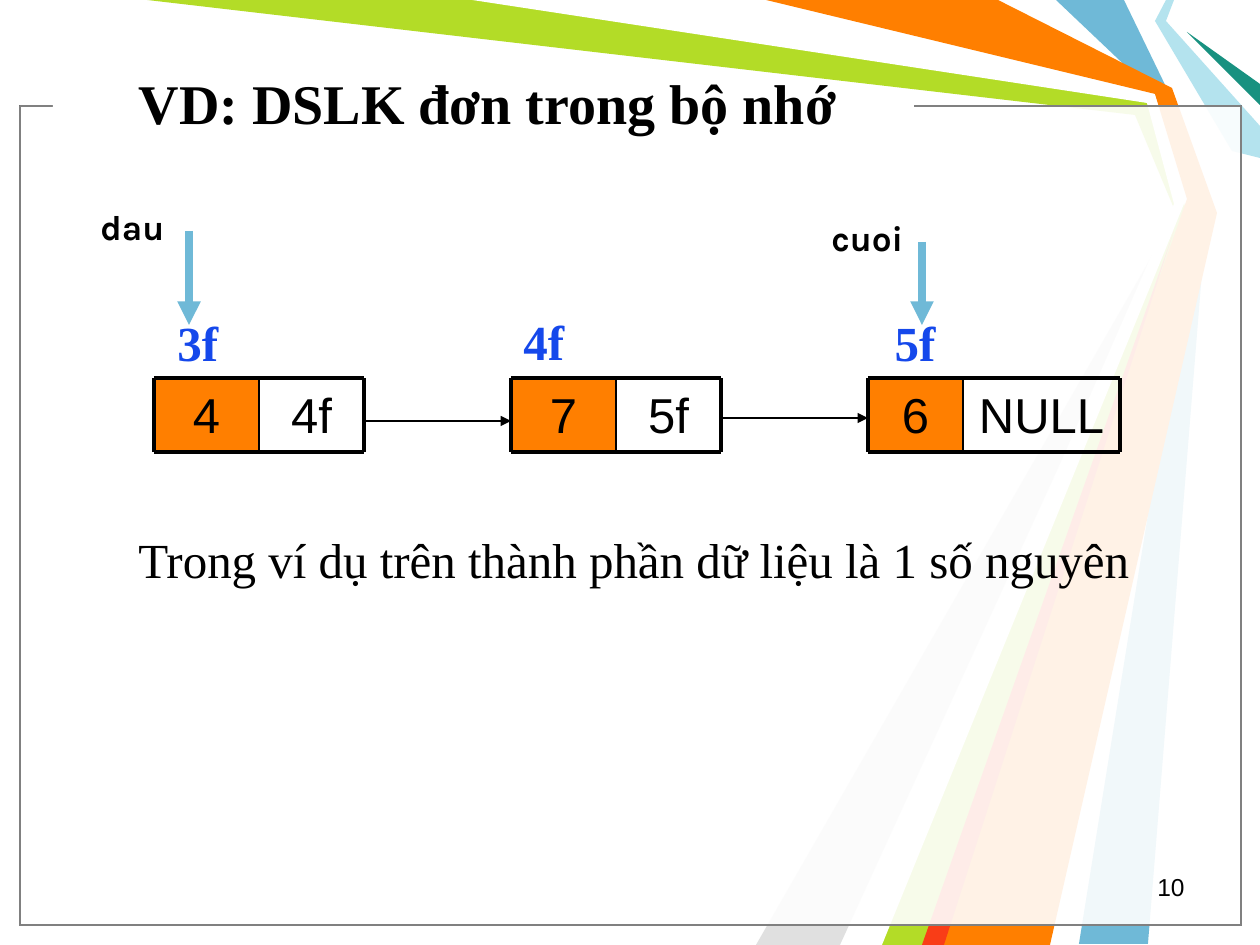
"""Build the slide showing a singly linked list in memory."""
from lxml.etree import SubElement
from pptx import Presentation
from pptx.dml.color import RGBColor
from pptx.enum.shapes import MSO_CONNECTOR as Connector, MSO_SHAPE as Shape
from pptx.enum.text import MSO_ANCHOR as Anchor, MSO_AUTO_SIZE as AutoSize, PP_ALIGN as Align
from pptx.oxml.ns import qn
from pptx.util import Pt

PX = 914400 / 126
COLORS = {
    "black": "000000", "white": "FFFFFF", "grey": "808080", "silver": "E0E0E0",
    "sky": "6FB9D7", "ice": "B4E3EE", "lime": "B3DC27", "teal": "189180",
    "orange": "FF7F00", "red": "F93D17", "blue": "1548EB",
}
COLORS = {name: RGBColor.from_string(value) for name, value in COLORS.items()}


def write(box, text, size, font, color="black", bold=False, align=Align.LEFT, anchor=Anchor.TOP):
    frame = box.text_frame
    frame.word_wrap = True
    frame.auto_size = AutoSize.NONE
    frame.vertical_anchor = anchor
    para = frame.paragraphs[0]
    para.alignment = align
    span = para.add_run()
    span.text = text
    span.font.size = Pt(size)
    span.font.name = font
    span.font.bold = bold
    span.font.color.rgb = COLORS[color]


def draw_line(start_x, start_y, end_x, end_y, width, color="black", arrow=False):
    ends = [round(value * PX) for value in (start_x, start_y, end_x, end_y)]
    line = page.shapes.add_connector(Connector.STRAIGHT, *ends)
    line.line.width = Pt(width)
    line.line.color.rgb = COLORS[color]
    if arrow:
        SubElement(line.line._get_or_add_ln(), qn("a:tailEnd"), type="triangle")
    SubElement(line._element.spPr, qn("a:effectLst"))


deck = Presentation()
deck.slide_width, deck.slide_height = round(1260 * PX), round(945 * PX)
page = deck.slides.add_slide(deck.slide_layouts[5])

ribbons = [
    ("sky", [(1124, 0), (1171, 97), (1207, 210), (1148, 944), (1079, 944),
             (1197, 210), (1155, 94), (1056, 0)]),
    ("lime", [(147, 0), (483, 0), (1152, 98), (1187, 213), (935, 945),
              (872, 945), (1178, 218), (1135, 115)]),
    ("silver", [(840, 945), (1168, 228), (756, 945)]),
    ("white", [(472, 0), (1147, 103), (1174, 204), (850, 945), (882, 945),
               (1186, 199), (1155, 94), (756, 0)]),
    ("ice", [(1166, 0), (1155, 21), (1232, 151), (1260, 158), (1260, 126),
             (1166, 21), (1174, 0)]),
    ("teal", [(1260, 105), (1187, 32), (1260, 84)]),
    ("orange", [(766, 0), (998, 0), (1172, 88), (1217, 213), (1050, 945),
                (924, 945), (1187, 199), (1155, 94)]),
    ("red", [(922, 945), (1174, 231), (944, 945)]),
]
for color, points in ribbons:
    outline = page.shapes.build_freeform(*points[0], scale=PX)
    outline.add_line_segments(points[1:], close=True)
    ribbon = outline.convert_to_shape()
    ribbon.shadow.inherit = False
    ribbon.fill.solid()
    ribbon.fill.fore_color.rgb = COLORS[color]
    ribbon.line.fill.background()

panels = [
    ((20, 106, 1221, 819), "black", 69000),
    ((20, 106, 1221, 819), "grey", 69000),
    ((53, 93, 861, 21), None, 100000),
]
for place, edge, opacity in panels:
    panel = page.shapes.add_shape(Shape.RECTANGLE, *[round(value * PX) for value in place])
    panel.shadow.inherit = False
    panel.fill.solid()
    panel.fill.fore_color.rgb = COLORS["white"]
    if edge:
        paint = panel._element.spPr.find(qn("a:solidFill"))
        SubElement(paint[0], qn("a:alpha"), val=str(opacity))
        panel.line.color.rgb = COLORS[edge]
        panel.line.width = Pt(0.75)
    else:
        panel.line.fill.background()

title = page.shapes.title
title.left, title.top, title.width, title.height = [round(v * PX) for v in (126, 53, 868, 98)]
page.shapes._spTree.append(title._element)
write(title, "VD: DSLK đơn trong bộ nhớ", 32, "Times New Roman", bold=True, anchor=Anchor.MIDDLE)

node_top, node_bottom = 378, 452
nodes = [(154, 259, 364, "4", "4f"), (511, 616, 721, "7", "5f"), (868, 963, 1120, "6", "NULL")]
for left, middle, right, value, link in nodes:
    for start, end, text in ((middle, right, link), (left, middle, value)):
        place = [round(v * PX) for v in (start, node_top, end - start, node_bottom - node_top)]
        cell = page.shapes.add_shape(Shape.RECTANGLE, *place)
        cell.shadow.inherit = False
        cell.line.fill.background()
        if text == value:
            cell.fill.solid()
            cell.fill.fore_color.rgb = COLORS["orange"]
        else:
            cell.fill.background()
        write(cell, text, 28, "Arial", align=Align.CENTER)
    for y in (node_top, node_bottom):
        draw_line(left, y, right, y, 2.25)
    for x, width in ((left, 2.25), (middle, 1), (right, 2.25)):
        draw_line(x, node_top, x, node_bottom, width)

draw_line(364, 421, 511, 421, 0.75, arrow=True)
draw_line(721, 418, 868, 418, 0.75, arrow=True)
draw_line(189, 231, 189, 325, 4.5, "sky", arrow=True)
draw_line(922, 242, 922, 325, 4.5, "sky", arrow=True)

labels = [
    ((165, 306, 94, 72), "3f", 28, "Times New Roman", "blue", True, Align.LEFT),
    ((511, 305, 94, 72), "4f", 28, "Times New Roman", "blue", True, Align.LEFT),
    ((868, 306, 94, 72), "5f", 28, "Times New Roman", "blue", True, Align.CENTER),
    ((88, 199, 147, 54), "dau", 20, "Karla", "black", True, Align.LEFT),
    ((819, 210, 147, 54), "cuoi", 20, "Karla", "black", True, Align.LEFT),
    ((126, 523, 1033, 72), "Trong ví dụ trên thành phần dữ liệu là 1 số nguyên",
     28, "Times New Roman", "black", False, Align.LEFT),
    ((903, 866, 294, 42), "10", 14, "Arial", "black", False, Align.RIGHT),
]
for place, *style in labels:
    label = page.shapes.add_textbox(*[round(value * PX) for value in place])
    write(label, *style)

deck.save("out.pptx")
